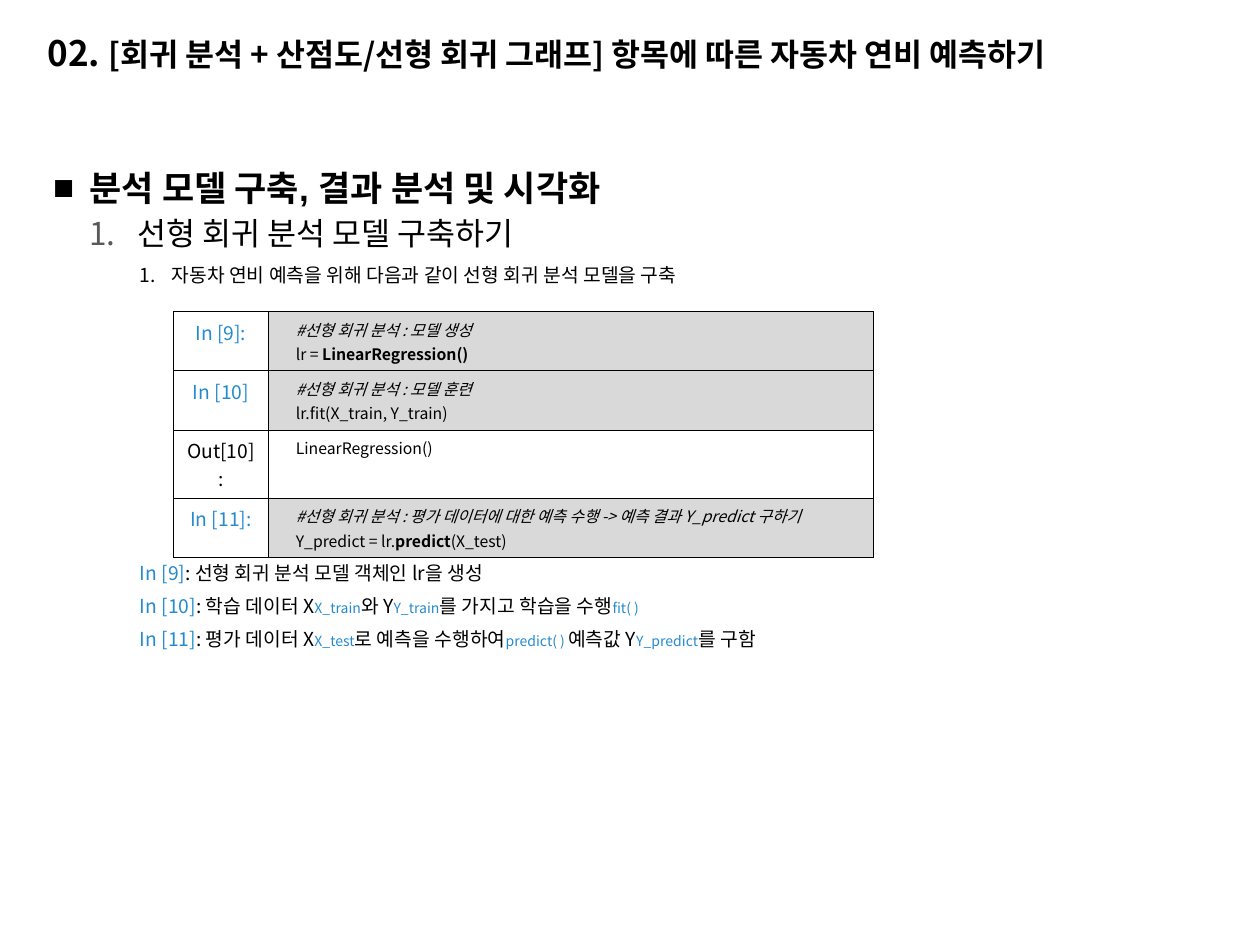
import lxml.etree
import pptx
import pptx.dml.color
import pptx.enum.text
import pptx.oxml.ns
import pptx.util

Cm, Pt = pptx.util.Cm, pptx.util.Pt
qn = pptx.oxml.ns.qn
ALIGN = pptx.enum.text.PP_ALIGN
ANCHOR = pptx.enum.text.MSO_ANCHOR
FONT = "Noto Sans CJK KR"
BLACK, BLUE, GRAY, WHITE = "000000", "258BCD", "D9D9D9", "FFFFFF"

BIG = {"size": 20, "bold": True}
STEP = {"size": 18}
TASK = {"size": 11}
LINK = {"size": 11, "color": BLUE}
TERM = {"size": 8, "color": BLUE}
CODE = {"size": 9}
NOTE = {"size": 9, "italic": True}
CALL = {"size": 9, "bold": True}

NOTES = [
    [("In [9]", LINK), (": 선형 회귀 분석 모델 객체인 lr을 생성", TASK)],
    [("In [10]", LINK), (": 학습 데이터 X", TASK), ("X_train", TERM),
     ("와 Y", TASK), ("Y_train", TERM), ("를 가지고 학습을 수행", TASK),
     ("fit( )", TERM)],
    [("In [11]", LINK), (": 평가 데이터 X", TASK), ("X_test", TERM),
     ("로 예측을 수행하여", TASK), ("predict( ) ", TERM), ("예측값 Y", TASK),
     ("Y_predict", TERM), ("를 구함", TASK)],
]

# label, label format, fill of the code cell, row height, code lines
ROWS = [
    ("In [9]:", LINK, GRAY, 1.19,
     [[("#선형 회귀 분석 : 모델 생성", NOTE)],
      [("lr = ", CODE), ("LinearRegression()", CALL)]]),
    ("In [10]", LINK, GRAY, 1.2,
     [[("#선형 회귀 분석 : 모델 훈련", NOTE)],
      [("lr.fit(X_train, Y_train)", CODE)]]),
    ("Out[10]:", TASK, WHITE, 1.37, [[("LinearRegression()", CODE)]]),
    ("In [11]:", LINK, GRAY, 1.2,
     [[("#선형 회귀 분석 : 평가 데이터에 대한 예측 수행 -> 예측 결과 Y_predict 구하기", NOTE)],
      [("Y_predict = lr.", CODE), ("predict", CALL), ("(X_test)", CODE)]]),
]


def rgb(code):
    return pptx.dml.color.RGBColor.from_string(code)


def add_run(para, text, form):
    run = para.add_run()
    run.text = text
    look = {"name": FONT, "bold": False, "italic": False, "color": BLACK, **form}
    look["size"] = Pt(look["size"])
    run.font.color.rgb = rgb(look.pop("color"))
    for key, value in look.items():
        setattr(run.font, key, value)
    props = run.font._element
    props.set("kern", "0")
    lxml.etree.SubElement(props, qn("a:ea")).set("typeface", FONT)


def add_para(frame, runs, left=0, hang=0, bullet=None, **form):
    """Fill the empty first paragraph, or add one; left and hang are in cm."""
    para = frame.paragraphs[0]
    if para.runs:
        para = frame.add_paragraph()
    for key, value in form.items():
        setattr(para, key, value)
    props = para._p.get_or_add_pPr()
    props.set("marL", str(Cm(left)))
    props.set("indent", str(Cm(-hang)))
    if bullet:
        mark, color, face = bullet
        tag, key = ("a:buChar", "char") if mark == "■" else ("a:buAutoNum", "type")
        tint = lxml.etree.SubElement(props, qn("a:buClr"))
        lxml.etree.SubElement(tint, qn("a:srgbClr")).set("val", color)
        lxml.etree.SubElement(props, qn("a:buFont")).set("typeface", face)
        lxml.etree.SubElement(props, qn(tag)).set(key, mark)
    for text, look in runs:
        add_run(para, text, look)


def add_text(slide, box, anchor=ANCHOR.TOP):
    frame = slide.shapes.add_textbox(*map(Cm, box)).text_frame
    frame.word_wrap = True
    frame.vertical_anchor = anchor
    return frame


def add_title(slide, box):
    frame = add_text(slide, box, ANCHOR.MIDDLE)
    add_para(frame, [
        ("02. ", BIG),
        ("[회귀 분석 + 산점도/선형 회귀 그래프] 항목에 따른 자동차 연비 예측하기",
         {**STEP, "bold": True})])


def add_steps(slide, box):
    frame = add_text(slide, box)
    add_para(frame, [("분석 모델 구축, 결과 분석 및 시각화", {**BIG, "name": "Arial"})],
             0.74, 0.74, ("■", BLACK, "Arial"), line_spacing=Pt(36))
    add_para(frame, [("선형 회귀 분석 모델 구축하기", STEP)],
             1.7, 0.97, ("arabicPeriod", "595959", FONT), level=1,
             space_before=Pt(3.4), space_after=Pt(4))
    add_para(frame, [("자동차 연비 예측을 위해 다음과 같이 선형 회귀 분석 모델을 구축", TASK)],
             2.39, 0.64, ("arabicPeriod", BLACK, FONT), level=3,
             space_before=Pt(2))


def style_cell(cell, fill):
    props = cell._tc.get_or_add_tcPr()
    for side in ("lnL", "lnR", "lnT", "lnB"):
        line = lxml.etree.SubElement(props, qn("a:" + side), w=str(Pt(0.25)))
        paint = lxml.etree.SubElement(line, qn("a:solidFill"))
        lxml.etree.SubElement(paint, qn("a:srgbClr")).set("val", BLACK)
    cell.fill.solid()
    cell.fill.fore_color.rgb = rgb(fill)


def add_cells(slide, left, top, widths):
    high = sum(row[3] for row in ROWS)
    box = map(Cm, (left, top, sum(widths), high))
    table = slide.shapes.add_table(len(ROWS), len(widths), *box).table
    table.first_row = table.horz_banding = False
    for col, width in zip(table.columns, widths):
        col.width = Cm(width)
    for row, (label, look, fill, tall, lines) in zip(table.rows, ROWS):
        row.height = Cm(tall)
        mark, code = row.cells
        style_cell(mark, WHITE)
        style_cell(code, fill)
        add_para(mark.text_frame, [(label, look)], alignment=ALIGN.CENTER,
                 space_before=Pt(5), space_after=Pt(3))
        for runs in lines:
            add_para(code.text_frame, runs, 0.3,
                     space_before=Pt(0.5), space_after=Pt(0.5))


def add_notes(slide, box):
    frame = add_text(slide, box)
    frame.margin_top = 0
    for runs in NOTES:
        add_para(frame, runs, space_after=Pt(5.5))


def add_body(slide, left, top, width):
    add_steps(slide, (left, top, width, 3.2))
    add_cells(slide, left + 2.68, top + 3.47, (1.91, 12.2))
    add_notes(slide, (left + 1.75, top + 8.51, width - 1.75, 2.2))


def main():
    deck = pptx.Presentation()
    deck.slide_width, deck.slide_height = Cm(25.4), Cm(19.05)
    slide = deck.slides.add_slide(deck.slide_layouts[6])
    add_title(slide, (0.71, 0.3, 23, 1.52))
    add_body(slide, 0.82, 2.81, 24)
    deck.save("out.pptx")


if __name__ == "__main__":
    main()
